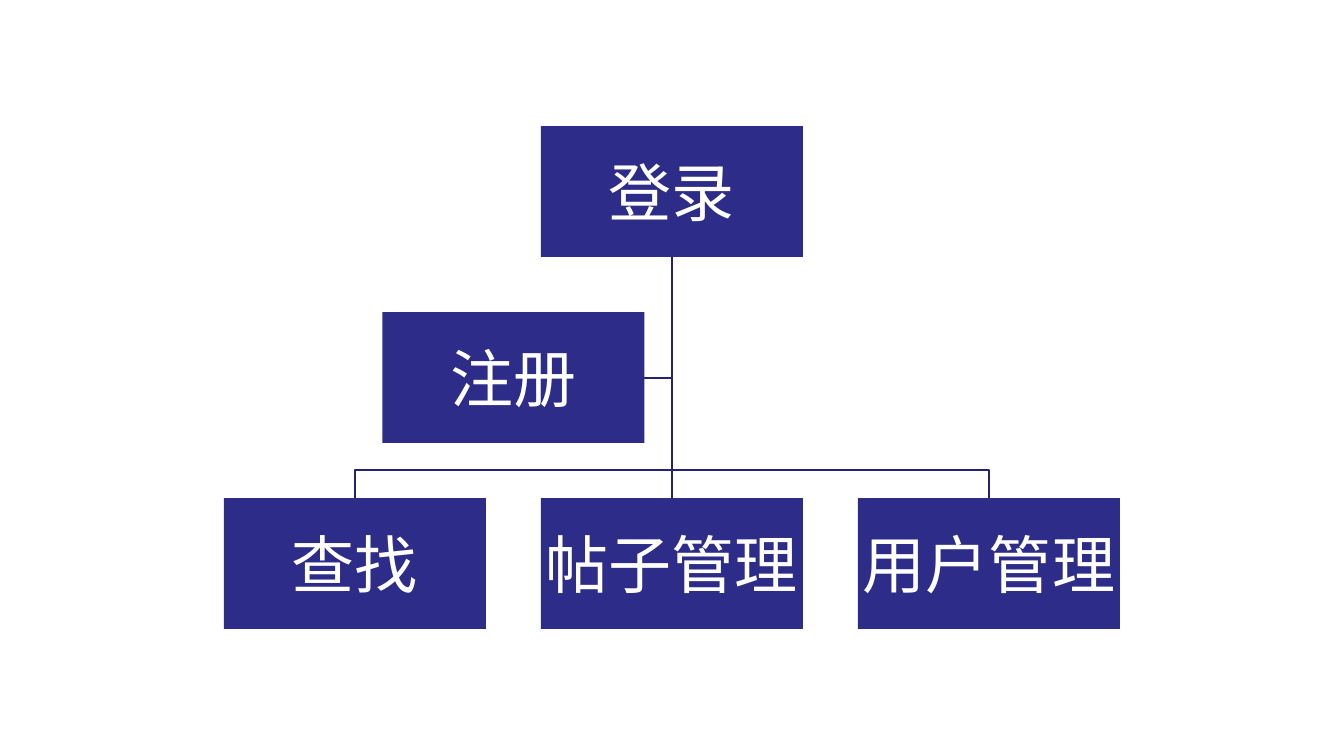
from lxml import etree
from pptx import Presentation
from pptx.dml.color import RGBColor
from pptx.enum.shapes import MSO_CONNECTOR, MSO_SHAPE
from pptx.enum.text import MSO_ANCHOR, PP_ALIGN
from pptx.oxml.ns import qn
from pptx.util import Pt

RECT = MSO_SHAPE.RECTANGLE
STRAIGHT = MSO_CONNECTOR.STRAIGHT
MIDDLE = MSO_ANCHOR.MIDDLE
CENTER = PP_ALIGN.CENTER
SCALE = 914400 / 100.8
NAVY, INK, WHITE = "2D2D89", "24246E", "FFFFFF"
WIDE, HIGH = 262, 131


def px(n):
    """Turn pixels into EMU."""
    return round(n * SCALE)


def paint(part, color):
    """Set a fill or font colour from a hex string."""
    part.rgb = RGBColor.from_string(color)


def write(shape, text, size=45, color=WHITE, font="Arial", inset=3):
    """Put centred text in a shape."""
    frame = shape.text_frame
    frame.word_wrap = True
    frame.vertical_anchor = MIDDLE
    frame.margin_left = frame.margin_right = px(inset)
    frame.margin_top = frame.margin_bottom = px(inset)
    para = frame.paragraphs[0]
    para.alignment = CENTER
    run = para.add_run()
    run.text = text
    run.font.size = Pt(size)
    run.font.name = font
    paint(run.font.color, color)


def node(slide, text, left, top):
    """Draw one labelled box of the tree."""
    box = slide.shapes.add_shape(RECT, px(left), px(top), px(WIDE), px(HIGH))
    box.shadow.inherit = False
    box.fill.solid()
    paint(box.fill.fore_color, NAVY)
    box.line.fill.background()
    write(box, text)


def link(slide, points):
    """Draw a straight or bent line through the points."""
    start, *rest = points
    if rest[1:]:
        pen = slide.shapes.build_freeform(*start, scale=SCALE)
        pen.add_line_segments(rest, close=False)
        line = pen.convert_to_shape()
        line.shadow.inherit = False
        line.fill.background()
    else:
        ends = [px(n) for n in (*start, *rest[0])]
        line = slide.shapes.add_connector(STRAIGHT, *ends)
        etree.SubElement(line._element.spPr, qn("a:effectLst"))
    paint(line.line.color, INK)
    line.line.width = Pt(1)


def tree(slide, left, top, width, height, root, side, leaves):
    """Draw the chart of one root, a side node and a row of leaves."""
    step = (width - WIDE) / (len(leaves) - 1)
    drop = (height - HIGH) / 2
    mid = left + width / 2
    head = mid - WIDE / 2
    base = top + 2 * drop
    bar = base - (drop - HIGH) / 2
    foot = (mid, top + HIGH)
    turn = top + drop + HIGH / 2
    lefts = [left + i * step for i in range(len(leaves))]
    link(slide, [foot, (mid, turn), (head - step / 2 + WIDE, turn)])
    for x in lefts:
        end = x + WIDE / 2
        bend = [] if end == mid else [(mid, bar), (end, bar)]
        link(slide, [foot, *bend, (end, base)])
    node(slide, root, head, top)
    for x, text in zip(lefts, leaves):
        node(slide, text, x, base)
    node(slide, side, head - step / 2, top + drop)


def main():
    """Build and save the slide."""
    deck = Presentation()
    deck.slide_width, deck.slide_height = px(1344), px(756)
    slide = deck.slides.add_slide(deck.slide_layouts[6])
    tree(slide, 224, 126, 896, 503, "登录", "注册",
         ["查找", "帖子管理", "用户管理"])
    deck.save("out.pptx")


main()
